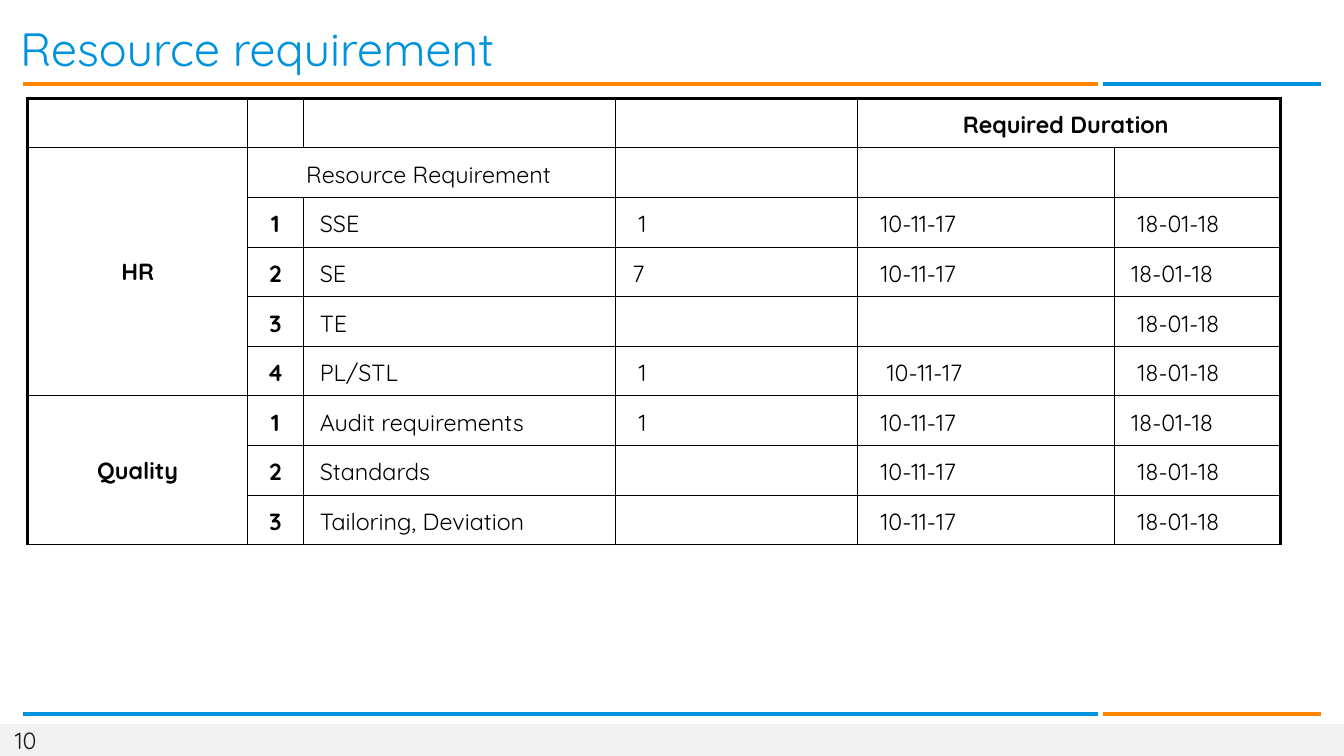
from lxml.etree import SubElement
from pptx import Presentation
from pptx.dml.color import RGBColor
from pptx.enum.shapes import MSO_CONNECTOR as Connector, MSO_SHAPE as Shape
from pptx.enum.text import MSO_ANCHOR as Anchor, MSO_AUTO_SIZE as AutoSize, PP_ALIGN as Align
from pptx.oxml.ns import qn
from pptx.util import Cm, Pt

BLUE = RGBColor(0x00, 0x93, 0xDD)
ORANGE = RGBColor(0xFF, 0x85, 0x00)
BLACK = RGBColor(0x00, 0x00, 0x00)
INK = RGBColor(0x1F, 0x1A, 0x17)
PALE_GREY = RGBColor(0xF2, 0xF2, 0xF2)
FONT = "Quicksand"

# Table content; merged cells give their text in the top left cell
ROWS = [
    ["", "", "", "", "Required Duration", ""],
    ["HR", "Resource Requirement", "", "", "", ""],
    ["", "1", "SSE", "1", "10-11-17", "18-01-18"],
    ["", "2", "SE", "7", "10-11-17", "18-01-18"],
    ["", "3", "TE", "", "", "18-01-18"],
    ["", "4", "PL/STL", "1", "10-11-17", "18-01-18"],
    ["Quality", "1", "Audit requirements", "1", "10-11-17", "18-01-18"],
    ["", "2", "Standards", "", "10-11-17", "18-01-18"],
    ["", "3", "Tailoring, Deviation", "", "10-11-17", "18-01-18"],
]
COLUMN_WIDTHS = [6.65, 1.68, 9.45, 7.32, 7.77, 5]
ROW_HEIGHT = 1.5
# (row, column) of the first cell: (rows, columns) covered
SPANS = {(0, 4): (1, 2), (1, 0): (5, 1), (1, 1): (1, 2), (6, 0): (3, 1)}
# Small indents in the value columns: one step unless listed here
INDENT_STEP = 0.19
INDENTS = {(3, 3): 0, (3, 5): 0, (5, 4): 2, (6, 5): 0}


def write(frame, text, size=20, color=BLACK, bold=False, align=Align.LEFT):
    paragraph = frame.paragraphs[0]
    paragraph.alignment = align
    run = paragraph.add_run()
    run.text = text
    font = run.font
    font.name, font.size, font.bold = FONT, Pt(size), bold
    font.color.rgb = color


class SlideBuilder:
    def __init__(self, deck):
        self.slide = deck.slides.add_slide(deck.slide_layouts[5])
        self.shapes = self.slide.shapes

    def title(self, text, left, top, width, height):
        title = self.shapes.title
        title.left, title.top = Cm(left), Cm(top)
        title.width, title.height = Cm(width), Cm(height)
        frame = title.text_frame
        frame.auto_size = AutoSize.NONE
        frame.vertical_anchor = Anchor.MIDDLE
        frame.margin_left = frame.margin_right = Cm(0.18)
        frame.margin_top = frame.margin_bottom = Cm(0.1)
        write(frame, text, size=40, color=BLUE)

    def band(self, left, top, width, height, color):
        band = self.shapes.add_shape(Shape.RECTANGLE, Cm(left), Cm(top), Cm(width), Cm(height))
        band.shadow.inherit = False
        band.fill.solid()
        band.fill.fore_color.rgb = color
        band.line.fill.background()

    def label(self, text, left, top, width, height, **style):
        frame = self.shapes.add_textbox(Cm(left), Cm(top), Cm(width), Cm(height)).text_frame
        frame.margin_left = frame.margin_right = frame.margin_top = frame.margin_bottom = 0
        frame.vertical_anchor = Anchor.MIDDLE
        frame.word_wrap = False
        write(frame, text, **style)

    def rule(self, start, end, y, color):
        rule = self.shapes.add_connector(Connector.STRAIGHT, Cm(start), Cm(y), Cm(end), Cm(y))
        rule.line.color.rgb = color
        rule.line.width = Pt(3)
        SubElement(rule._element.spPr, qn("a:effectLst"))

    def borders(self, cell, **widths):
        properties = cell._tc.get_or_add_tcPr()
        for side, points in widths.items():
            line = SubElement(properties, qn(f"a:ln{side}"), w=str(Pt(points)))
            fill = SubElement(line, qn("a:solidFill"))
            SubElement(fill, qn("a:srgbClr"), val=str(BLACK))

    def table(self, rows, left, top):
        count, columns = len(rows), len(COLUMN_WIDTHS)
        table = self.shapes.add_table(
            count, columns, Cm(left), Cm(top),
            Cm(sum(COLUMN_WIDTHS)), Cm(ROW_HEIGHT * count)).table
        table.first_row = table.horz_banding = False
        for column, width in zip(table.columns, COLUMN_WIDTHS):
            column.width = Cm(width)
        for row in table.rows:
            row.height = Cm(ROW_HEIGHT)
        for (r, c), (down, across) in SPANS.items():
            table.cell(r, c).merge(table.cell(r + down - 1, c + across - 1))
        for r, texts in enumerate(rows):
            for c, text in enumerate(texts):
                self.cell(table.cell(r, c), r, c, text)

    def cell(self, cell, r, c, text):
        across = SPANS.get((r, c), (1, 1))[1]
        at_right = c + across == len(COLUMN_WIDTHS)
        self.borders(cell, L=3 if c == 0 else 1, R=3 if at_right else 1,
                     T=3 if r == 0 else 1, B=1)
        cell.fill.background()
        if not text:
            return
        is_heading = across > 1
        steps = INDENTS.get((r, c), 1) if c > 2 and not is_heading else 0
        cell.margin_left = Cm(0.5 + steps * INDENT_STEP)
        cell.margin_right = Cm(0.5 + is_heading * INDENT_STEP)
        cell.margin_top = cell.margin_bottom = Cm(0.25)
        cell.vertical_anchor = Anchor.MIDDLE if c == 0 else Anchor.BOTTOM
        write(cell.text_frame, text,
              bold=r == 0 or (c < 2 and not is_heading),
              align=Align.CENTER if c < 2 or is_heading else Align.LEFT)


def main():
    deck = Presentation()
    deck.slide_width, deck.slide_height = Cm(40.64), Cm(22.86)
    page = SlideBuilder(deck)

    # Footer band and page number
    page.band(0, 21.9, 40.64, 0.96, PALE_GREY)
    page.label("10", 0.45, 21.95, 0.86, 0.86, color=INK)

    # Two-colour rules under the title and above the footer
    for y, long_color, short_color in [(2.54, ORANGE, BLUE), (21.59, BLUE, ORANGE)]:
        page.rule(0.7, 33.2, y, long_color)
        page.rule(33.34, 39.94, y, short_color)

    # Title and resource table
    page.title("Resource requirement", 0.43, 0.56, 36.4, 1.78)
    page.table(ROWS, 0.84, 2.97)

    deck.save("out.pptx")


if __name__ == "__main__":
    main()
